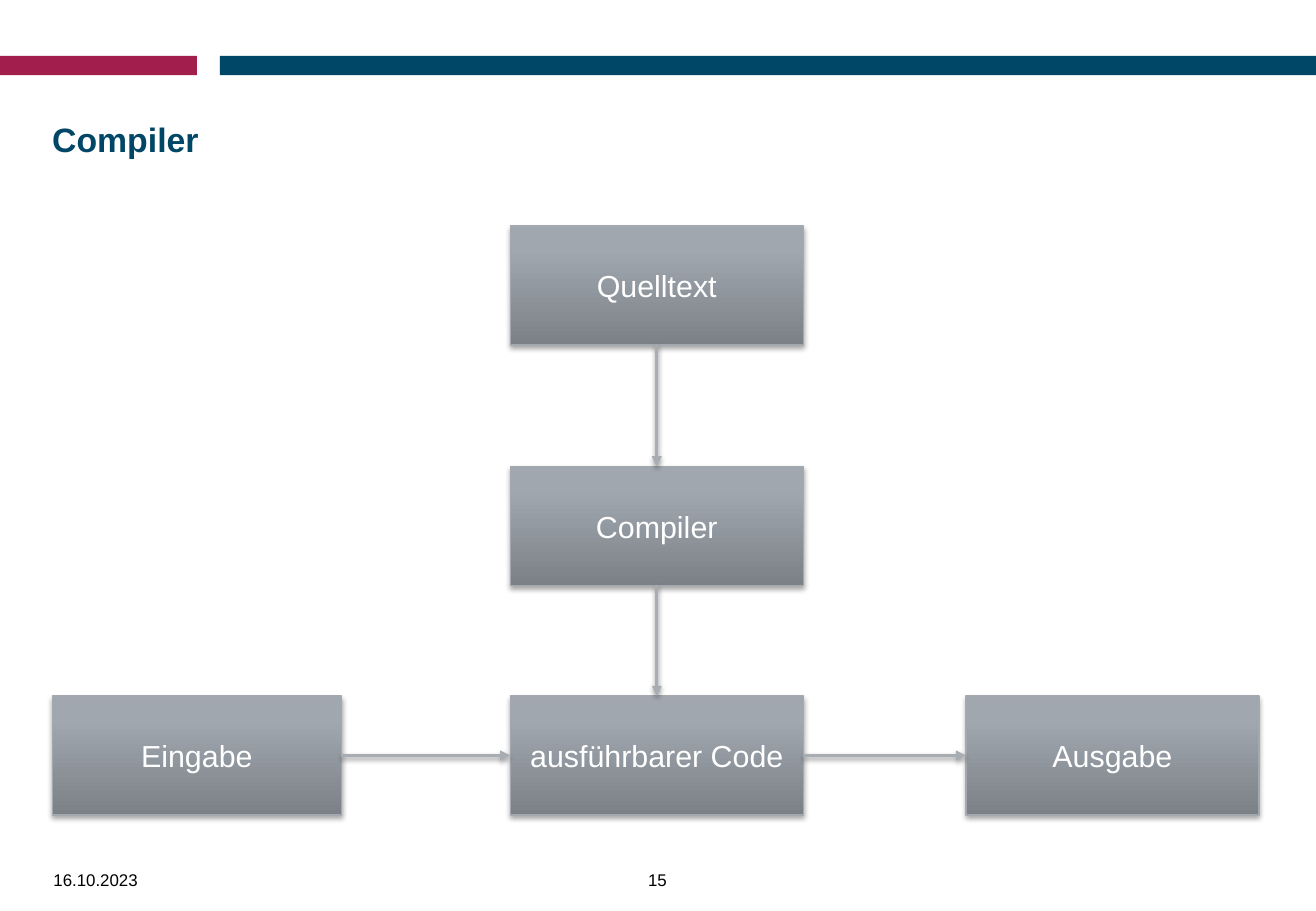
from copy import deepcopy

from pptx import Presentation
from pptx.dml.color import RGBColor
from pptx.enum.shapes import MSO_CONNECTOR, MSO_SHAPE
from pptx.enum.text import MSO_ANCHOR, PP_ALIGN
from pptx.oxml import parse_xml
from pptx.oxml.ns import nsdecls, qn
from pptx.util import Inches, Pt

BLUE, RED = "004666", "A21E4D"
GREYS = [(0, "7C8187"), (0.8, "A1A7AF"), (1, "A2A8B0")]
TOP, LEFT, BOTTOM, RIGHT = range(4)  # connection sites of a process box
BOX_WIDTH, BOX_HEIGHT = 2.41, 0.98
MIDDLE, LAST_ROW = 4.2, 5.73


def color(hex_text):
    return RGBColor.from_string(hex_text)


def write(frame, text, size=18, fill="000000", bold=False,
          align=PP_ALIGN.LEFT, anchor=MSO_ANCHOR.TOP):
    frame.word_wrap = True
    frame.vertical_anchor = anchor
    para = frame.paragraphs[0]
    para.alignment = align
    span = para.add_run()
    span.text = text
    span.font.name = "Arial"
    span.font.size = Pt(size)
    span.font.bold = bold
    span.font.color.rgb = color(fill)


def add_label(page, text, left, top, width, height, **style):
    frame = page.shapes.add_textbox(*map(Inches, (left, top, width, height))).text_frame
    frame.margin_left = frame.margin_right = frame.margin_top = frame.margin_bottom = 0
    write(frame, text, **style)


def add_bar(page, left, width, fill):
    bar = page.shapes.add_shape(MSO_SHAPE.RECTANGLE, *map(Inches, (left, 0.46, width, 0.16)))
    bar.shadow.inherit = False
    bar.fill.solid()
    bar.fill.fore_color.rgb = color(fill)
    bar.line.fill.background()


def add_shadow(properties, distance, opacity):
    """Append a soft shadow that falls straight down."""
    properties.append(parse_xml(
        f'<a:effectLst {nsdecls("a")}><a:outerShdw blurRad="{Pt(3.1)}" dist="{Pt(distance)}" '
        f'dir="5400000" rotWithShape="0"><a:srgbClr val="000000">'
        f'<a:alpha val="{opacity * 1000}"/></a:srgbClr></a:outerShdw></a:effectLst>'))


def add_process(page, text, left, top, width=BOX_WIDTH):
    box = page.shapes.add_shape(MSO_SHAPE.FLOWCHART_PROCESS,
                                *map(Inches, (left, top, width, BOX_HEIGHT)))
    box.fill.gradient()
    box.fill.gradient_angle = 90
    stops = box._element.spPr.find(".//" + qn("a:gsLst"))
    stops.insert(1, deepcopy(stops[0]))
    for stop, (position, grey) in zip(box.fill.gradient_stops, GREYS):
        stop.position = position
        stop.color.rgb = color(grey)
    box.line.color.rgb = color("A4A9AF")
    box.line.width = Pt(0.75)
    add_shadow(box._element.spPr, 1.8, 35)
    write(box.text_frame, text, fill="FFFFFF", align=PP_ALIGN.CENTER,
          anchor=MSO_ANCHOR.MIDDLE)
    return box


def add_arrow(page, start, start_site, end, end_site):
    arrow = page.shapes.add_connector(MSO_CONNECTOR.STRAIGHT, 0, 0, 0, 0)
    arrow.begin_connect(start, start_site)
    arrow.end_connect(end, end_site)
    arrow.line.color.rgb = color("A8ADB3")
    arrow.line.width = Pt(2)
    properties = arrow._element.spPr
    properties.find(qn("a:ln")).append(
        parse_xml(f'<a:tailEnd {nsdecls("a")} type="triangle"/>'))
    add_shadow(properties, 1.6, 38)


def main():
    deck = Presentation()
    deck.slide_width, deck.slide_height = Inches(10.83), Inches(7.5)
    page = deck.slides.add_slide(deck.slide_layouts[6])

    add_bar(page, 1.81, 9.02, BLUE)
    add_bar(page, 0, 1.62, RED)
    add_label(page, "Compiler", 0.43, 0.98, 9.96, 0.75, size=20, fill=BLUE, bold=True)
    add_label(page, "16.10.2023", 0.44, 7.16, 1.86, 0.2, size=10)
    add_label(page, "15", 5.01, 7.16, 0.8, 0.2, size=10, align=PP_ALIGN.CENTER)

    source = add_process(page, "Quelltext", MIDDLE, 1.86)
    compiler = add_process(page, "Compiler", MIDDLE, 3.84)
    program = add_process(page, "ausführbarer Code", MIDDLE, LAST_ROW)
    data_in = add_process(page, "Eingabe", 0.43, LAST_ROW, width=2.38)
    data_out = add_process(page, "Ausgabe", 7.95, LAST_ROW)

    add_arrow(page, source, BOTTOM, compiler, TOP)
    add_arrow(page, data_in, RIGHT, program, LEFT)
    add_arrow(page, compiler, BOTTOM, program, TOP)
    add_arrow(page, program, RIGHT, data_out, LEFT)

    deck.save("out.pptx")


if __name__ == "__main__":
    main()
